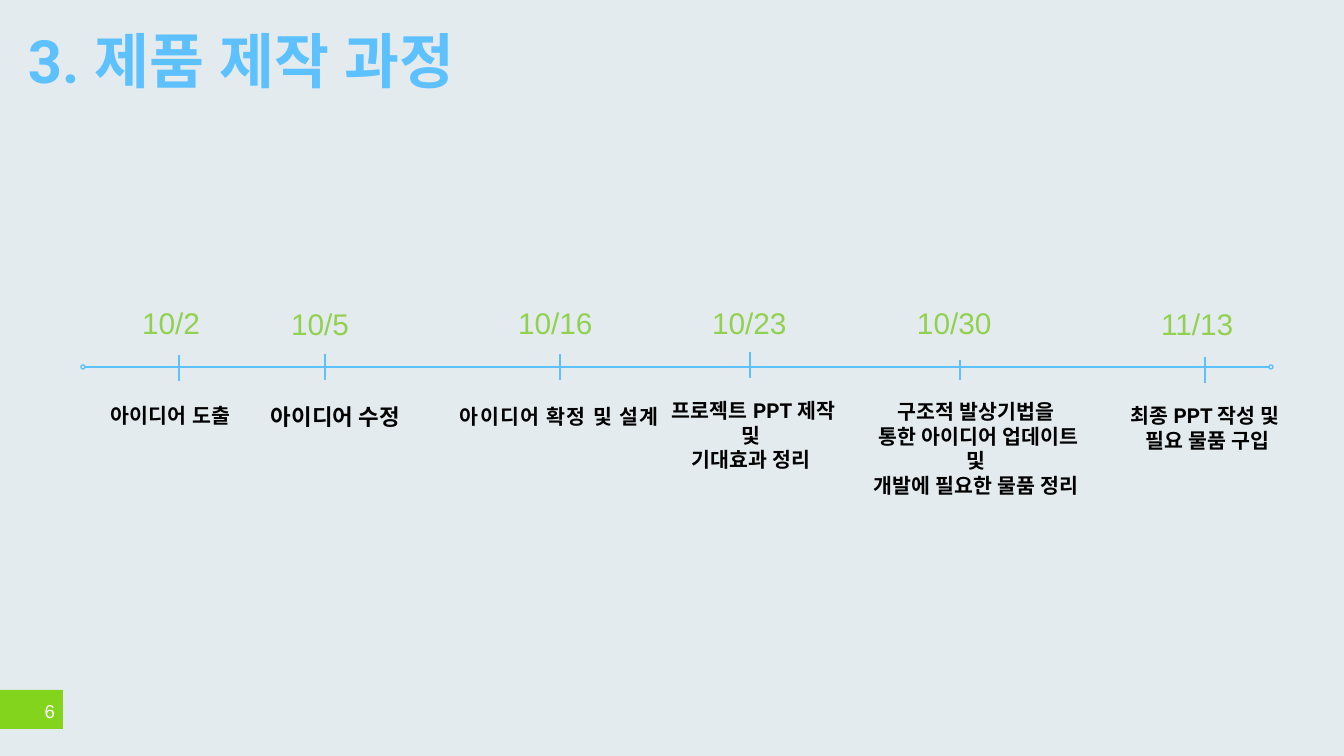
from dataclasses import dataclass

from lxml.etree import SubElement
from pptx import Presentation
from pptx.dml.color import RGBColor
from pptx.enum.shapes import MSO_CONNECTOR, MSO_SHAPE
from pptx.enum.text import PP_ALIGN
from pptx.oxml.ns import qn
from pptx.util import Emu, Pt

EMU_PER_PX = 9144000 / 1344


def px(n):
    return Emu(round(n * EMU_PER_PX))


@dataclass(frozen=True)
class Theme:
    background: str = "E4EBEF"
    blue: str = "5EC1FF"
    date: str = "92D050"
    badge: str = "83D41C"
    black: str = "000000"
    white: str = "FFFFFF"
    heading_font: str = "Roboto"
    number_font: str = "Arial"
    title_size: int = 32
    date_size: int = 16
    wide_caption_size: int = 12
    caption_size: int = 11
    page_size: int = 10
    line_width: float = 0.75


class SlideBuilder:
    def __init__(self, slide, theme):
        self.s = slide
        self.theme = theme
        fill = slide.background.fill
        fill.solid()
        fill.fore_color.rgb = RGBColor.from_string(theme.background)

    def text(self, box, lines, size, color, font, bold=False,
             align=PP_ALIGN.LEFT, spacing=0, line_height=None):
        """Spacing is between letters, in hundredths of a point."""
        tf = self.s.shapes.add_textbox(*map(px, box)).text_frame
        tf.word_wrap = True
        tf.margin_left = tf.margin_right = tf.margin_top = tf.margin_bottom = 0
        tf.text = lines
        for p in tf.paragraphs:
            p.alignment = align
            if line_height:
                p.line_spacing = Pt(line_height)
            for r in p.runs:
                r.font.size = Pt(size)
                r.font.bold = bold
                r.font.name = font
                r.font.color.rgb = RGBColor.from_string(color)
                rPr = r.font._element
                SubElement(rPr, qn("a:ea")).set("typeface", font)
                if spacing:
                    rPr.set("spc", str(spacing))

    def line(self, x1, y1, x2, y2):
        c = self.s.shapes.add_connector(
            MSO_CONNECTOR.STRAIGHT, px(x1), px(y1), px(x2), px(y2))
        c.line.color.rgb = RGBColor.from_string(self.theme.blue)
        c.line.width = Pt(self.theme.line_width)
        SubElement(c._element.spPr, qn("a:effectLst"))

    def ring(self, x, y, size):
        sp = self.s.shapes.add_shape(
            MSO_SHAPE.OVAL, px(x), px(y), px(size), px(size))
        sp.shadow.inherit = False
        sp.fill.background()
        sp.line.color.rgb = RGBColor.from_string(self.theme.blue)
        sp.line.width = Pt(self.theme.line_width)

    def block(self, box, color):
        sp = self.s.shapes.add_shape(MSO_SHAPE.RECTANGLE, *map(px, box))
        sp.shadow.inherit = False
        sp.fill.solid()
        sp.fill.fore_color.rgb = RGBColor.from_string(color)
        sp.line.fill.background()


@dataclass
class Milestone:
    date: str
    date_x: int
    date_y: int
    tick_x: int
    tick_y: int
    caption: str
    caption_box: tuple
    align: PP_ALIGN = PP_ALIGN.LEFT
    size: int = Theme.caption_size
    spacing: int = 0
    tick_height: int = 26


MILESTONES = [
    Milestone("10/2", 142, 305, 179, 355, "아이디어 도출",
              (111, 403, 147, 26), PP_ALIGN.JUSTIFY),
    Milestone("10/5", 291, 306, 325, 354, "아이디어 수정",
              (271, 403, 136, 27), size=Theme.wide_caption_size),
    Milestone("10/16", 518, 305, 560, 354, "아이디어 확정 및 설계",
              (460, 404, 206, 26), spacing=60),
    Milestone("10/23", 712, 305, 750, 352, " 프로젝트 PPT 제작 및\n기대효과 정리",
              (659, 398, 184, 76), PP_ALIGN.CENTER),
    Milestone("10/30", 917, 305, 960, 360,
              "구조적 발상기법을\n 통한 아이디어 업데이트 및\n개발에 필요한 물품 정리",
              (864, 399, 224, 100), PP_ALIGN.CENTER, tick_height=20),
    Milestone("11/13", 1161, 306, 1205, 357, "최종 PPT 작성 및\n 필요 물품 구입",
              (1130, 403, 150, 76), PP_ALIGN.CENTER),
]


def main():
    prs = Presentation()
    prs.slide_width, prs.slide_height = px(1344), px(756)
    t = Theme()
    b = SlideBuilder(prs.slides.add_slide(prs.slide_layouts[6]), t)

    b.text((28, 24, 1188, 73), "3. 제품 제작 과정", t.title_size, t.blue,
           t.heading_font, bold=True)

    axis_left, axis_right, axis_y, ring = 85, 1269, 367, 4
    b.line(axis_left, axis_y, axis_right, axis_y)
    for x in (axis_left - ring, axis_right):
        b.ring(x, axis_y - ring / 2, ring)

    for m in MILESTONES:
        b.line(m.tick_x, m.tick_y, m.tick_x, m.tick_y + m.tick_height)
        b.text((m.date_x, m.date_y, 90, 36), m.date, t.date_size, t.date,
               t.number_font)
        b.text(m.caption_box, m.caption, m.size, t.black, t.heading_font,
               bold=True, align=m.align, spacing=m.spacing)

    b.block((0, 690, 63, 39), t.badge)
    b.text((28, 702, 27, 20), "6", t.page_size, t.white, t.number_font,
           align=PP_ALIGN.RIGHT, spacing=-50, line_height=11.1)

    prs.save("out.pptx")


if __name__ == "__main__":
    main()
